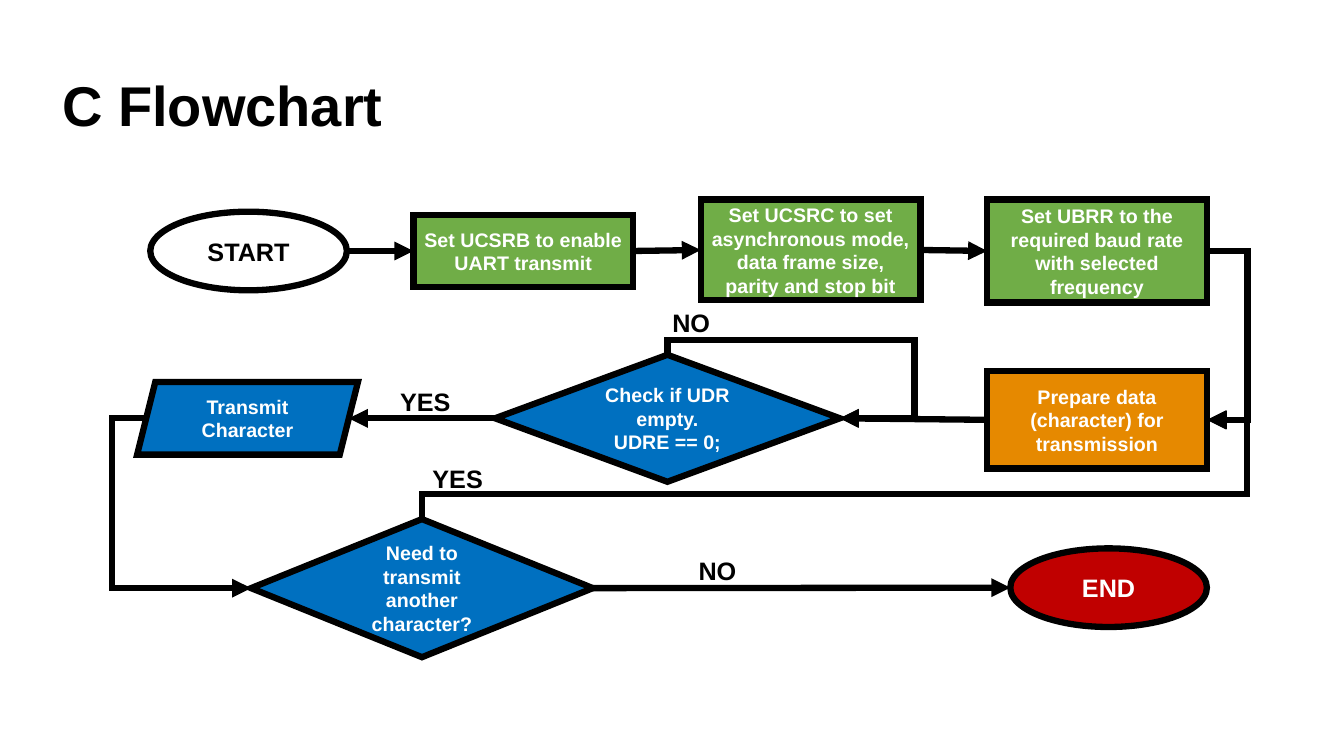
from lxml import etree
from pptx import Presentation
from pptx.dml.color import RGBColor
from pptx.enum.shapes import MSO_CONNECTOR as Link, MSO_SHAPE as Shape
from pptx.enum.text import MSO_ANCHOR as Anchor, PP_ALIGN as Align
from pptx.oxml.ns import qn
from pptx.util import Inches, Pt

BLACK, WHITE = "000000", "FFFFFF"
GREEN, ORANGE, BLUE, RED = "70AD47", "E68900", "0070C0", "C00000"
LINE_WIDTH = 4.5
TOP, LEFT, RIGHT = 0, 1, 3

# Steps: name, preset, (left, top, width, height), fill, text, size
STEPS = [
    ("start", Shape.OVAL, (1.49, 2.1, 1.95, 0.78), WHITE, "START", 18),
    ("end", Shape.OVAL, (10.02, 5.44, 1.95, 0.78), RED, "END", 18),
    ("enable", Shape.RECTANGLE, (4.1, 2.13, 2.18, 0.72), GREEN,
     "Set UCSRB to enable UART transmit", 14),
    ("mode", Shape.RECTANGLE, (6.95, 1.98, 2.18, 1), GREEN,
     "Set UCSRC to set asynchronous mode, data frame size, parity and stop bit", 14),
    ("baud", Shape.RECTANGLE, (9.79, 1.98, 2.18, 1.02), GREEN,
     "Set UBRR to the required baud rate with selected frequency", 14),
    ("prepare", Shape.RECTANGLE, (9.79, 3.68, 2.18, 0.97), ORANGE,
     "Prepare data (character) for transmission", 14),
    ("check", Shape.DIAMOND, (4.91, 3.52, 3.42, 1.26), BLUE,
     "Check if UDR empty.\nUDRE == 0;", 14),
    ("transmit", Shape.PARALLELOGRAM, (1.36, 3.79, 2.19, 0.72), BLUE,
     "Transmit Character", 14),
    ("another", Shape.DIAMOND, (2.49, 5.15, 3.39, 1.37), BLUE,
     "Need to transmit another character?", 14),
]

# Straight arrows: from step and side, to step and side
ARROWS = [
    ("start", RIGHT, "enable", LEFT),
    ("enable", RIGHT, "mode", LEFT),
    ("mode", RIGHT, "baud", LEFT),
    ("prepare", LEFT, "check", RIGHT),
    ("check", LEFT, "transmit", RIGHT),
    ("another", RIGHT, "end", LEFT),
]

# Bent arrows: the same, then the x and (when leaving upwards) y of the bends
BENT_ARROWS = [
    ("baud", RIGHT, "prepare", RIGHT, 12.38, None),
    ("check", TOP, "check", RIGHT, 9.07, 3.37),
    ("another", TOP, "prepare", RIGHT, 12.37, 4.9),
    ("transmit", LEFT, "another", LEFT, 1.11, None),
]

LABELS = [
    ("NO", (6.57, 3, 1.06, 0.4)),
    ("YES", (3.87, 3.78, 0.82, 0.4)),
    ("NO", (6.83, 5.46, 1.06, 0.4)),
    ("YES", (4.19, 4.55, 0.82, 0.4)),
]

deck = Presentation()
deck.slide_width, deck.slide_height = Inches(13.33), Inches(7.5)
page = deck.slides.add_slide(deck.slide_layouts[6])
steps = {}


def color(value):
    return RGBColor.from_string(value)


def write(box, text, size=18, fill=BLACK, align=Align.LEFT, anchor=Anchor.TOP, spacing=1.0):
    frame = box.text_frame
    frame.word_wrap = True
    frame.vertical_anchor = anchor
    for index, line in enumerate(text.split("\n")):
        para = frame.add_paragraph() if index else frame.paragraphs[0]
        para.alignment, para.line_spacing = align, spacing
        span = para.add_run()
        span.text = line
        span.font.name, span.font.size, span.font.bold = "Arial", Pt(size), True
        span.font.color.rgb = color(fill)


def add_text(text, place, **style):
    write(page.shapes.add_textbox(*map(Inches, place)), text, **style)


def outline(item, arrow=False):
    item.line.color.rgb = color(BLACK)
    item.line.width = Pt(LINE_WIDTH)
    line = item.line._get_or_add_ln()
    etree.SubElement(line, qn("a:miter"), lim="800000")
    if arrow:
        etree.SubElement(line, qn("a:tailEnd"), type="triangle")
        etree.SubElement(item._element.spPr, qn("a:effectLst"))


def side_point(name, side):
    box = steps[name]
    if side == TOP:
        return box.left + box.width // 2, box.top
    slant = box.height // 8 if name == "transmit" else 0
    x = box.left + slant if side == LEFT else box.left + box.width - slant
    return x, box.top + box.height // 2


def join(kind, source, source_side, target, target_side):
    begin, end = side_point(source, source_side), side_point(target, target_side)
    arrow = page.shapes.add_connector(kind, *begin, *end)
    outline(arrow, arrow=True)
    if steps[source].auto_shape_type in (Shape.RECTANGLE, Shape.DIAMOND):
        arrow.begin_connect(steps[source], source_side)
    if steps[target].auto_shape_type in (Shape.RECTANGLE, Shape.DIAMOND):
        arrow.end_connect(steps[target], target_side)
    return arrow, begin, end


def bend(arrow, begin, end, bend_x, bend_y):
    (x0, y0), (x1, y1) = begin, end
    if x0 == x1:
        x1 += Inches(0.01)
    ratios = [(Inches(bend_x) - x0) / (x1 - x0)]
    width, height = abs(x1 - x0), abs(y1 - y0)
    form = arrow._element.spPr.find(qn("a:xfrm"))
    for flip in ("flipH", "flipV"):
        form.attrib.pop(flip, None)
    if bend_y is not None:
        # A path that leaves upwards is a quarter turn of the preset
        ratios.insert(0, (Inches(bend_y) - y0) / (y1 - y0))
        width, height = height, width
        form.set("rot", str(270 * 60000))
        if y1 > y0:
            form.set("flipH", "1")
    arrow.left, arrow.top = (x0 + x1 - width) // 2, (y0 + y1 - height) // 2
    arrow.width, arrow.height = width, height
    preset = arrow._element.spPr.find(qn("a:prstGeom"))
    preset.set("prst", f"bentConnector{len(ratios) + 2}")
    guides = preset.find(qn("a:avLst"))
    for number, ratio in enumerate(ratios, 1):
        etree.SubElement(guides, qn("a:gd"), name=f"adj{number}",
                         fmla=f"val {round(ratio * 100000)}")


# Title
add_text("C Flowchart", (0.52, 0.35, 12.29, 1.45), size=40, anchor=Anchor.MIDDLE, spacing=0.9)

# Steps
for name, preset, place, fill, text, size in STEPS:
    box = page.shapes.add_shape(preset, *map(Inches, place))
    box.shadow.inherit = False
    box.fill.solid()
    box.fill.fore_color.rgb = color(fill)
    outline(box)
    write(box, text, size=size, fill=BLACK if fill == WHITE else WHITE,
          align=Align.CENTER, anchor=Anchor.MIDDLE)
    steps[name] = box

# Arrows
for ends in ARROWS:
    join(Link.STRAIGHT, *ends)
for *ends, bend_x, bend_y in BENT_ARROWS:
    bend(*join(Link.ELBOW, *ends), bend_x, bend_y)

# Branch labels
for text, place in LABELS:
    add_text(text, place)

deck.save("out.pptx")
